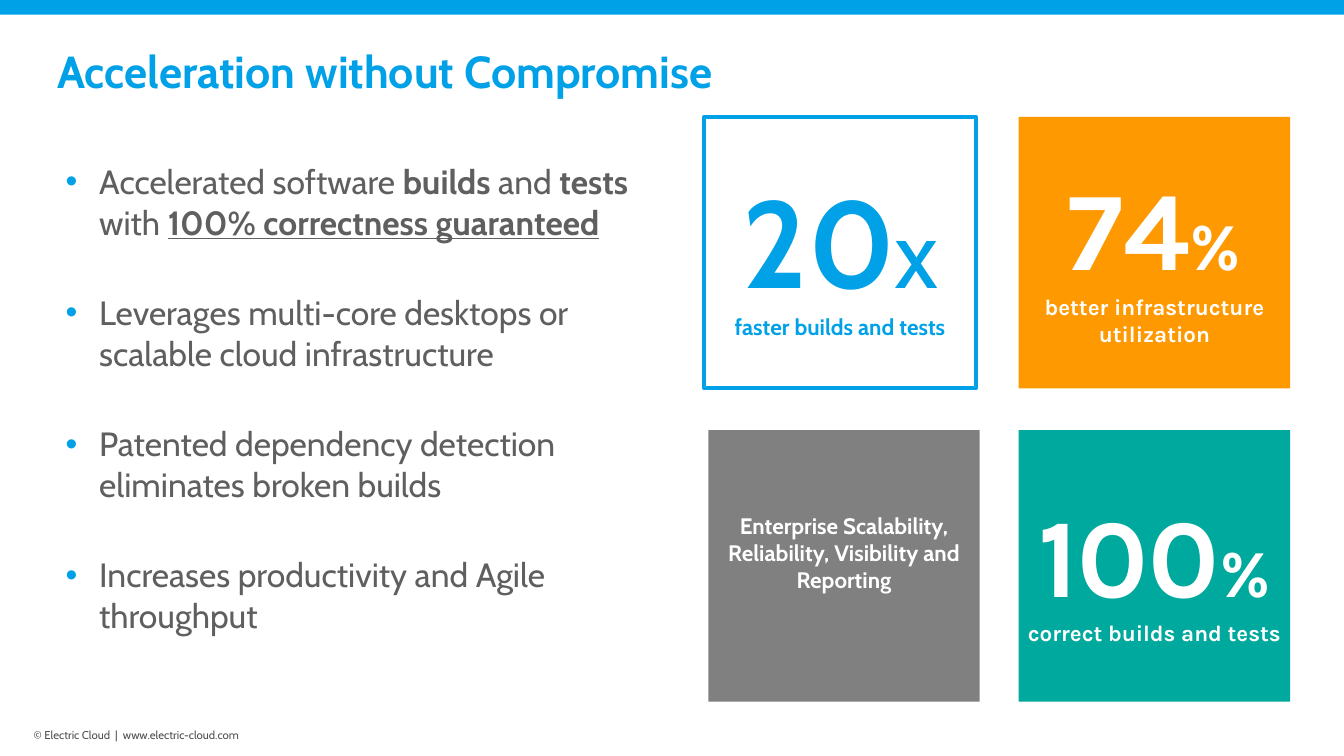
from lxml import etree
from pptx import Presentation
from pptx.dml.color import RGBColor
from pptx.enum.shapes import MSO_SHAPE
from pptx.enum.text import MSO_ANCHOR, PP_ALIGN
from pptx.oxml.ns import qn
from pptx.util import Inches, Pt

RECTANGLE = MSO_SHAPE.RECTANGLE
MIDDLE = MSO_ANCHOR.MIDDLE
CENTER = PP_ALIGN.CENTER

BLUE = RGBColor(0x01, 0xA1, 0xE7)
ORANGE = RGBColor(0xFE, 0x99, 0x01)
TEAL = RGBColor(0x00, 0xA9, 0x9D)
GRAY = RGBColor(0x80, 0x80, 0x80)
TEXT_GRAY = RGBColor(0x5F, 0x5F, 0x5F)
FOOTER_GRAY = RGBColor(0x50, 0x50, 0x50)
WHITE = RGBColor(0xFF, 0xFF, 0xFF)


def set_font(paragraph, name, size, color, bold=False):
    paragraph.font.name = name
    paragraph.font.size = Pt(size)
    paragraph.font.color.rgb = color
    paragraph.font.bold = bold


def add_rectangle(left, top, width, height, fill):
    shape = slide.shapes.add_shape(
        RECTANGLE, Inches(left), Inches(top), Inches(width), Inches(height))
    shape.shadow.inherit = False
    if fill is None:
        shape.fill.background()
        shape.line.color.rgb = BLUE
        shape.line.width = Pt(2)
    else:
        shape.fill.solid()
        shape.fill.fore_color.rgb = fill
        shape.line.fill.background()
    return shape


presentation = Presentation()
presentation.slide_width = Inches(10)
presentation.slide_height = Inches(10) * 9 // 16
slide = presentation.slides.add_slide(presentation.slide_layouts[6])

add_rectangle(0, 0, 10, 0.11, BLUE)

footer = slide.shapes.add_textbox(Inches(0.25), Inches(5.4), Inches(1.83), Inches(0.2))
footer_frame = footer.text_frame
footer_frame.margin_left = footer_frame.margin_right = footer_frame.margin_bottom = 0
footer_frame.margin_top = Inches(0.02)
footer_frame.text = "© Electric Cloud  |  www.electric-cloud.com"
set_font(footer_frame.paragraphs[0], "Cabin", 6.1, FOOTER_GRAY)

title = slide.shapes.add_textbox(Inches(0.33), Inches(0.28), Inches(8.9), Inches(0.5))
title.text_frame.word_wrap = True
title.text_frame.text = "Acceleration without Compromise"
set_font(title.text_frame.paragraphs[0], "Cabin", 24, BLUE, True)

bullets = [
    [("Accelerated software ", False, False), ("builds ", True, False),
     ("and ", False, False), ("tests", True, False), (" with ", False, False),
     ("100% correctness guaranteed", True, True)],
    [("Leverages multi-core desktops or scalable cloud infrastructure", False, False)],
    [("Patented dependency detection eliminates broken builds", False, False)],
    [("Increases productivity and Agile throughput", False, False)],
]
body = slide.shapes.add_textbox(Inches(0.33), Inches(1.15), Inches(4.58), Inches(3.6))
body_frame = body.text_frame
body_frame.word_wrap = True
for index, runs in enumerate(bullets):
    paragraph = body_frame.add_paragraph() if index else body_frame.paragraphs[0]
    if index:
        paragraph.space_before = Pt(27)
    properties = paragraph._p.get_or_add_pPr()
    properties.set("marL", str(Inches(0.31)))
    properties.set("indent", str(Inches(-0.25)))
    bullet_color = etree.SubElement(properties, qn("a:buClr"))
    etree.SubElement(bullet_color, qn("a:srgbClr"), val=str(BLUE))
    etree.SubElement(properties, qn("a:buFont"), typeface="Arial")
    etree.SubElement(properties, qn("a:buChar"), char="•")
    set_font(paragraph, "Cabin", 18, TEXT_GRAY)
    for text, bold, underline in runs:
        run = paragraph.add_run()
        run.text = text
        if bold:
            run.font.bold = True
        if underline:
            run.font.underline = True

TILE_SIZE = 2.02
tiles = [
    (7.58, 0.87, ORANGE, "Karla", WHITE, 60, "74", "%",
     "better infrastructure utilization", 0.05),
    (5.24, 0.87, None, "Cabin", BLUE, 66, "20", "X", "faster builds and tests", 0.05),
    (7.58, 3.2, TEAL, "Karla", WHITE, 60, "100", "%", "correct builds and tests", 0.05),
    (5.27, 3.2, GRAY, "Cabin", WHITE, 60, "", "",
     "Enterprise Scalability, Reliability, Visibility and Reporting", 0.25),
]
for left, top, fill, font, color, size, number, unit, caption, bottom_margin in tiles:
    tile = add_rectangle(left, top, TILE_SIZE, TILE_SIZE, fill)
    frame = tile.text_frame
    frame.word_wrap = True
    frame.vertical_anchor = MIDDLE
    frame.margin_left = frame.margin_right = frame.margin_top = Inches(0.05)
    frame.margin_bottom = Inches(bottom_margin)
    paragraph = frame.paragraphs[0]
    if number:
        paragraph.alignment = CENTER
        set_font(paragraph, font, size, color, True)
        paragraph.add_run().text = number
        unit_run = paragraph.add_run()
        unit_run.text = unit
        unit_run.font.size = Pt(36)
        paragraph = frame.add_paragraph()
    paragraph.text = caption
    paragraph.alignment = CENTER
    set_font(paragraph, font, 12, color, True)

presentation.save("out.pptx")
